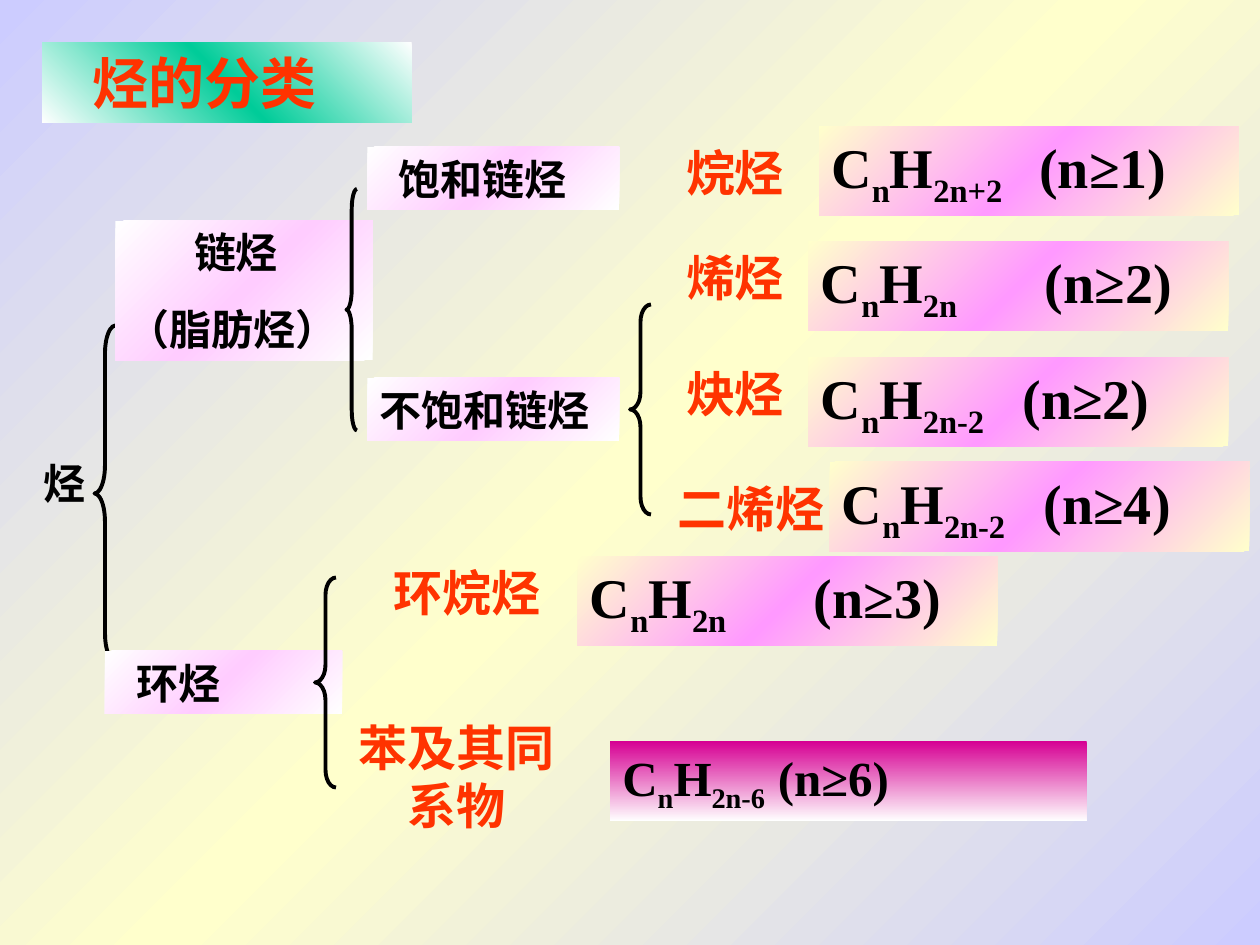
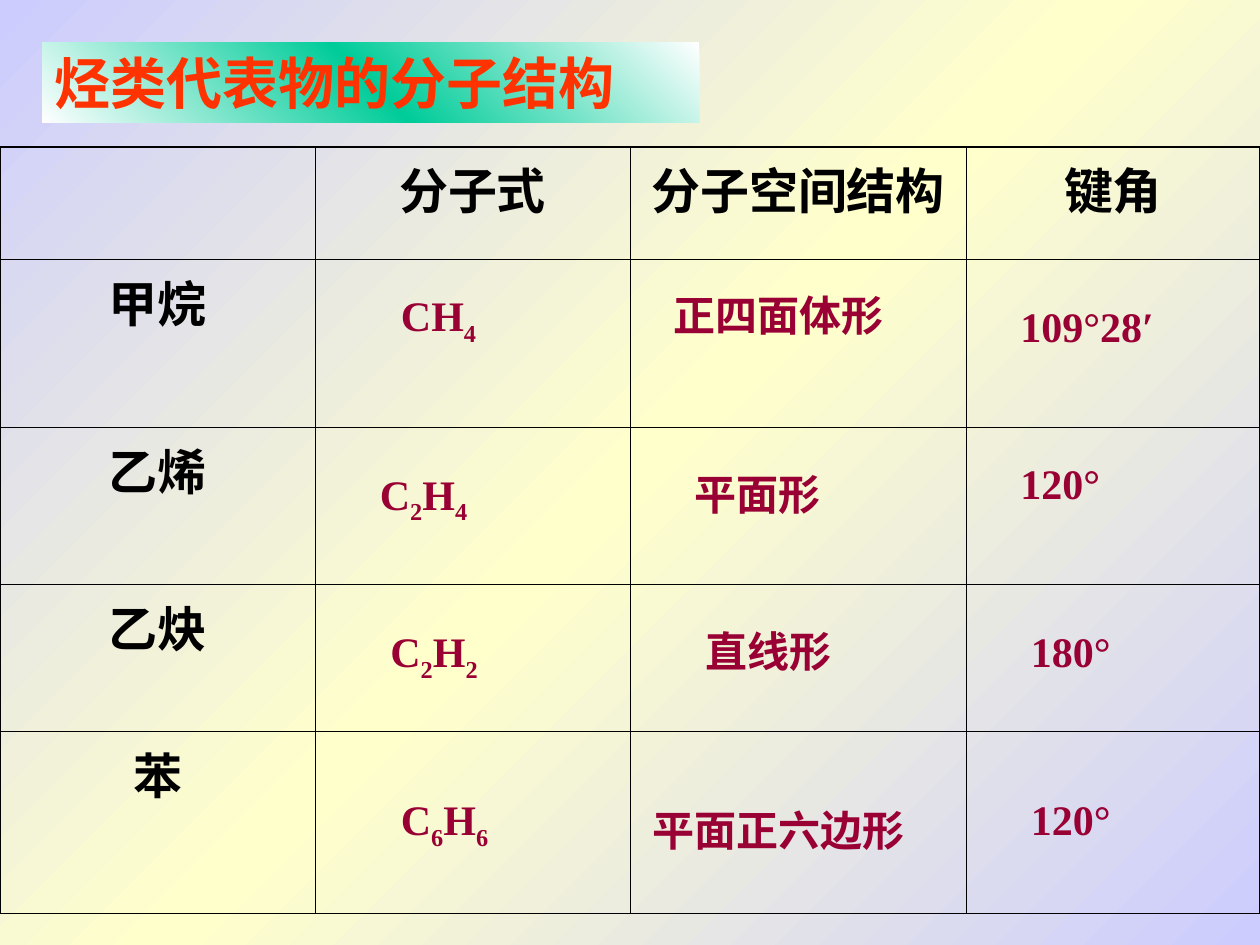
import pptx
import pptx.util
import pptx.dml.color
import pptx.enum.shapes
import pptx.enum.text
import pptx.oxml.ns
from lxml import etree

PX = 7620  # 120 px to the inch
FONT = "Times New Roman"
HUES = {"black": "000000", "red": "FF3300", "wine": "990033", "white": "FFFFFF",
        "blue": "CCCCFF", "cream": "FFFFCC", "green": "00CC99", "pink": "FFCCFF",
        "rose": "FF99FF", "plum": "D60093"}
LEFT = pptx.enum.text.PP_ALIGN.LEFT
MID = pptx.enum.text.PP_ALIGN.CENTER
FORMS = pptx.enum.shapes.MSO_SHAPE
qn = pptx.oxml.ns.qn


def write(frame, text, size, hue, align=LEFT):
    """Fill a text frame; parts between underscores become subscripts."""
    frame.text = text
    for row, para in enumerate(frame.paragraphs):
        first, *rest = para.text.split("_")
        para.text = first
        for part in rest:
            para.add_run().text = part
        para.alignment = align
        para.space_before = pptx.util.Pt(15 if row else 0)
        for n, run in enumerate(para.runs):
            run.font.size = pptx.util.Pt(size)
            run.font.bold = True
            run.font.name = FONT
            run.font.color.rgb = pptx.dml.color.RGBColor.from_string(HUES[hue])
            if n % 2:
                run.font._element.set("baseline", "-25000")


def blend(owner, fill, names, angle):
    """Give a linear gradient of evenly spaced colours, angle clockwise."""
    fill.gradient()
    fill.gradient_angle = 360 - angle
    stops = owner._element.xpath(".//a:gsLst")[0]
    for old in list(stops):
        stops.remove(old)
    for n, name in enumerate(names):
        stop = etree.SubElement(stops, qn("a:gs"), pos=str(100000 * n // (len(names) - 1)))
        etree.SubElement(stop, qn("a:srgbClr"), val=HUES[name])


deck = pptx.Presentation()
deck.slide_width, deck.slide_height = 1200 * PX, 900 * PX
master = deck.slide_master
blend(master, master.background.fill, ["blue", "cream", "blue"], 45)

# Titles: text, band width, indent
slides = []
for text, wide, dent in [("烃的分类", 352, 36), ("烃类代表物的分子结构", 626, 0)]:
    slide = deck.slides.add_slide(deck.slide_layouts[5])
    title = slide.shapes.title
    title.left, title.top, title.width, title.height = 40 * PX, 40 * PX, wide * PX, 77 * PX
    blend(title, title.fill, ["white", "green", "white"], 315)
    frame = title.text_frame
    frame.auto_size = pptx.enum.text.MSO_AUTO_SIZE.NONE
    frame.vertical_anchor = pptx.enum.text.MSO_ANCHOR.TOP
    write(frame, text, 32, "red")
    frame.paragraphs[0]._p.get_or_add_pPr().set("marL", str(dent * PX))
    slides.append(slide)
tree, facts = slides

# Boxes of the tree: left, top, width, height, text, indent, tab stop
classes = [(110, 210, 245, 133, "链烃\n（脂肪烃）", 63, 0),
           (100, 620, 226, 60, "环烃", 18, 0),
           (350, 140, 240, 60, "饱和链烃", 18, 0),
           (350, 360, 240, 60, "不饱和链烃", 0, 0)]
rules = [(780, 120, 400, 85, "C_n_H_2n+2_\t(n≥1)", 0, 198),
         (770, 230, 400, 85, "C_n_H_2n_\t(n≥2)", 0, 213),
         (770, 340, 400, 85, "C_n_H_2n-2_\t(n≥2)", 0, 192),
         (790, 440, 400, 85, "C_n_H_2n-2_\t(n≥4)", 0, 192),
         (550, 530, 400, 85, "C_n_H_2n_\t(n≥3)", 0, 213)]
arene = [(581, 706, 454, 76, "C_n_H_2n-6_\t(n≥6)", 0, 148)]
groups = [(classes, 24, ["white", "pink", "white"], 45),
          (rules, 32, ["cream", "rose", "cream"], 45),
          (arene, 28, ["plum", "white"], 90)]
for boxes, size, names, angle in groups:
    for left, top, wide, high, text, dent, tab in boxes:
        box = tree.shapes.add_shape(FORMS.RECTANGLE, left * PX, top * PX, wide * PX, high * PX)
        box.shadow.inherit = False
        box.line.fill.background()
        blend(box, box.fill, names, angle)
        frame = box.text_frame
        frame.word_wrap = True
        frame.vertical_anchor = pptx.enum.text.MSO_ANCHOR.TOP
        write(frame, text, size, "black")
        props = frame.paragraphs[0]._p.get_or_add_pPr()
        props.set("marL", str(dent * PX))
        if tab:
            tabs = etree.SubElement(props, qn("a:tabLst"))
            etree.SubElement(tabs, qn("a:tab"), pos=str(tab * PX), algn="l")

braces = []
for left, top, wide, high in [(90, 310, 20, 320), (330, 180, 10, 230),
                              (600, 290, 20, 200), (300, 550, 20, 200)]:
    brace = tree.shapes.add_shape(FORMS.LEFT_BRACE, left * PX, top * PX, wide * PX, high * PX)
    brace.adjustments[0] = high / wide / 12
    brace.shadow.inherit = False
    brace.fill.background()
    brace.line.color.rgb = pptx.dml.color.RGBColor.from_string(HUES["black"])
    brace.line.width = pptx.util.Pt(2.25)
    braces.append(brace)
# The root brace runs behind the boxes
tree.shapes._spTree.insert(2, braces[0]._element)

# Loose text: slide, size, colour, alignment, then left, top, width, height, text
notes = [
    (tree, 24, "black", LEFT, [(30, 430, 70, 60, "烃")]),
    (tree, 28, "red", MID, [
        (630, 130, 140, 68, "烷烃"), (630, 230, 140, 68, "烯烃"),
        (630, 340, 140, 68, "炔烃"), (610, 450, 210, 68, "二烯烃"),
        (340, 530, 210, 68, "环烷烃"), (330, 677, 210, 125, "苯及其同系物")]),
    (facts, 24, "wine", LEFT, [
        (370, 270, 220, 67, "CH_4"), (350, 440, 210, 67, "C_2_H_4"),
        (360, 590, 190, 67, "C_2_H_2"), (370, 750, 230, 67, "C_6_H_6"),
        (630, 270, 240, 60, "正四面体形"), (650, 440, 240, 60, "平面形"),
        (660, 590, 220, 60, "直线形"), (610, 760, 310, 60, "平面正六边形"),
        (960, 280, 240, 60, "109°28′"), (960, 430, 190, 60, "120°"),
        (970, 590, 150, 60, "180°"), (970, 750, 200, 60, "120°")])]

# Table of molecules
heads = ["", "分子式", "分子空间结构", "键角"]
names = ["", "甲烷", "乙烯", "乙炔", "苯"]
wides, highs = [300, 300, 320, 280], [107, 160, 150, 140, 173]
grid = facts.shapes.add_table(5, 4, 0, 140 * PX, 1200 * PX, 730 * PX).table
grid.first_row = grid.horz_banding = False
for col, wide in enumerate(wides):
    grid.columns[col].width = wide * PX
for row, high in enumerate(highs):
    grid.rows[row].height = high * PX
    for col in range(4):
        cell = grid.cell(row, col)
        text = names[row] if col == 0 else heads[col] if row == 0 else ""
        if text:
            write(cell.text_frame, text, 28, "black", MID)
        props = cell._tc.get_or_add_tcPr()
        edges = {"L": col == 0, "R": col == 3, "T": row == 0, "B": row == 4}
        for side, outer in edges.items():
            line = etree.SubElement(props, qn("a:ln" + side),
                                    w=str(pptx.util.Pt(1.08 if outer else 0.45)))
            ink = etree.SubElement(line, qn("a:solidFill"))
            etree.SubElement(ink, qn("a:srgbClr"), val=HUES["black"])
        cell.fill.background()

for slide, size, hue, align, items in notes:
    for left, top, wide, high, text in items:
        note = slide.shapes.add_textbox(left * PX, top * PX, wide * PX, high * PX)
        note.text_frame.word_wrap = True
        write(note.text_frame, text, size, hue, align)

deck.save("out.pptx")
